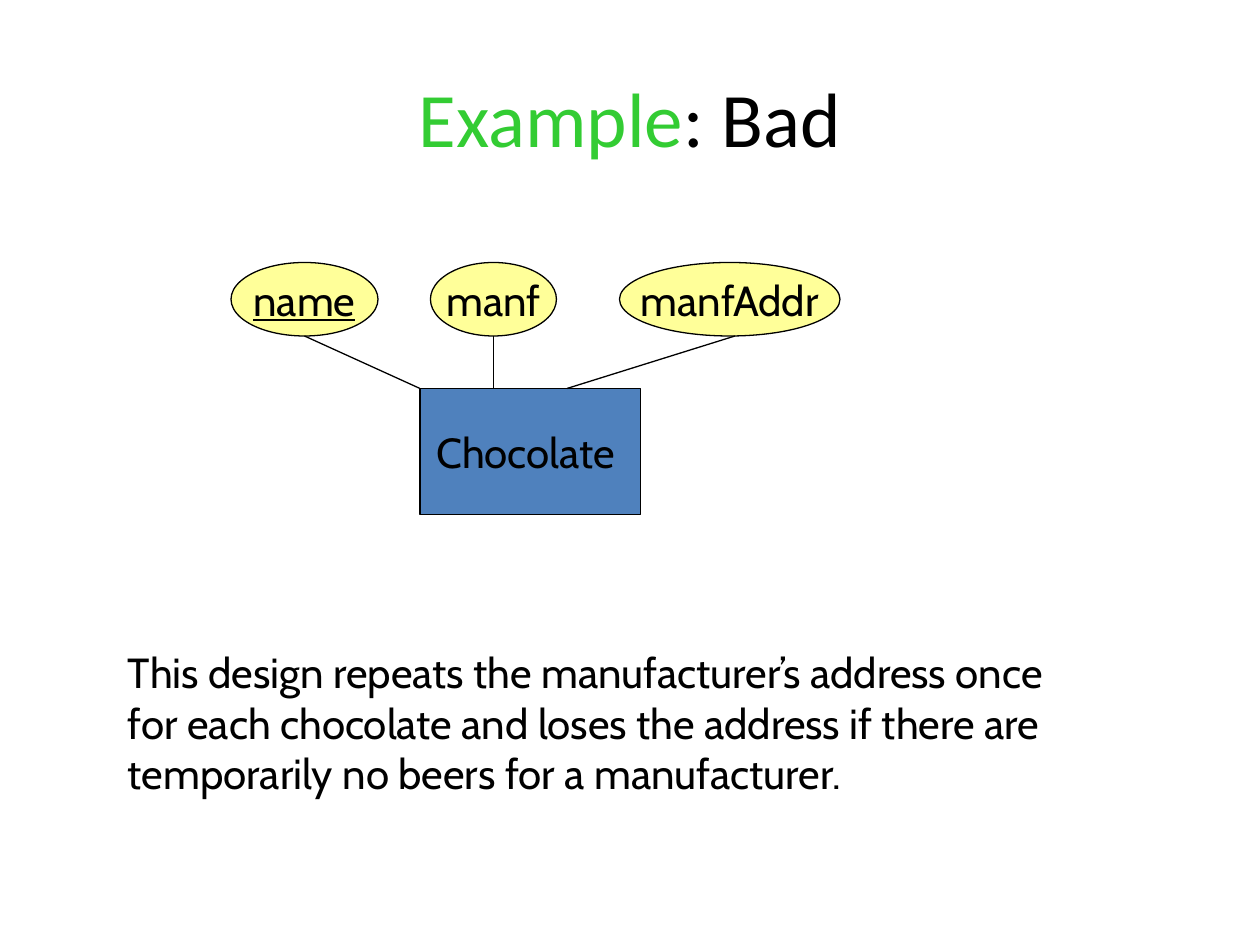
import pptx
import pptx.util
import pptx.dml.color
import pptx.enum.shapes
import pptx.enum.text
import pptx.oxml

Pt = pptx.util.Pt
RGB = pptx.dml.color.RGBColor
Shape = pptx.enum.shapes.MSO_SHAPE
Align = pptx.enum.text.PP_ALIGN
Anchor = pptx.enum.text.MSO_ANCHOR

BLACK = RGB(0x00, 0x00, 0x00)
GREEN = RGB(0x33, 0xCC, 0x33)
BLUE = RGB(0x4F, 0x81, 0xBD)
YELLOW = RGB(0xFF, 0xFF, 0x99)


class Sketch:
    """Draws an entity diagram on one slide in a shared style."""

    head = "Calibri"
    face = "Cabin"
    size = 24
    line = 0.75

    def __init__(self, slide):
        self.slide = slide

    def style(self, run, face, size, color):
        run.font.name = face
        run.font.size = Pt(size)
        run.font.color.rgb = color

    def title(self, lead, rest, x, y, w, h):
        box = self.slide.shapes.title
        box.left, box.top, box.width, box.height = Pt(x), Pt(y), Pt(w), Pt(h)
        frame = box.text_frame
        frame.text = lead
        frame.vertical_anchor = Anchor.MIDDLE
        para = frame.paragraphs[0]
        para.alignment = Align.CENTER
        para.add_run().text = rest
        for run, color in zip(para.runs, (GREEN, BLACK)):
            self.style(run, self.head, 44, color)

    def node(self, kind, text, fill, x, y, w, h, key=False):
        node = self.slide.shapes.add_shape(kind, Pt(x), Pt(y), Pt(w), Pt(h))
        node.shadow.inherit = False
        node.fill.solid()
        node.fill.fore_color.rgb = fill
        node.line.color.rgb = BLACK
        node.line.width = Pt(self.line)
        frame = node.text_frame
        frame.text = text
        frame.word_wrap = False
        frame.vertical_anchor = Anchor.MIDDLE
        para = frame.paragraphs[0]
        para.alignment = Align.CENTER
        self.style(para.runs[0], self.face, self.size, BLACK)
        if key:
            para.runs[0].font.underline = True

    def link(self, x1, y1, x2, y2):
        kind = pptx.enum.shapes.MSO_CONNECTOR.STRAIGHT
        link = self.slide.shapes.add_connector(kind, Pt(x1), Pt(y1), Pt(x2), Pt(y2))
        link.line.color.rgb = BLACK
        link.line.width = Pt(self.line)
        props = link._element.spPr
        props.append(pptx.oxml.parse_xml(
            '<a:effectLst xmlns:a="http://schemas.openxmlformats.org/drawingml/2006/main"/>'))

    def note(self, text, x, y, w, h):
        box = self.slide.shapes.add_textbox(Pt(x), Pt(y), Pt(w), Pt(h))
        frame = box.text_frame
        frame.text = text
        frame.word_wrap = True
        self.style(frame.paragraphs[0].runs[0], self.face, self.size, BLACK)


def main():
    deck = pptx.Presentation()
    deck.slide_width, deck.slide_height = Pt(720), Pt(540)
    art = Sketch(deck.slides.add_slide(deck.slide_layouts[5]))
    art.title("Example", ": Bad", 36, 21.6, 648, 90)

    top, high, base = 150, 42, 222
    art.node(Shape.RECTANGLE, "Chocolate ", BLUE, 240, base, 126, 72)
    fields = (
        ("name", 132, 84, 174, 240, True),
        ("manf", 246, 72, 282, 282, False),
        ("manfAddr", 354, 126, 420, 324, False),
    )
    for text, x, wide, start, end, key in fields:
        art.node(Shape.OVAL, text, YELLOW, x, top, wide, high, key)
        art.link(start, top + high, end, base)

    art.note("This design repeats the manufacturer’s address once for each "
             "chocolate and loses the address if there are temporarily no "
             "beers for a manufacturer.", 66, 366, 541.5, 122.4)
    deck.save("out.pptx")


if __name__ == "__main__":
    main()
